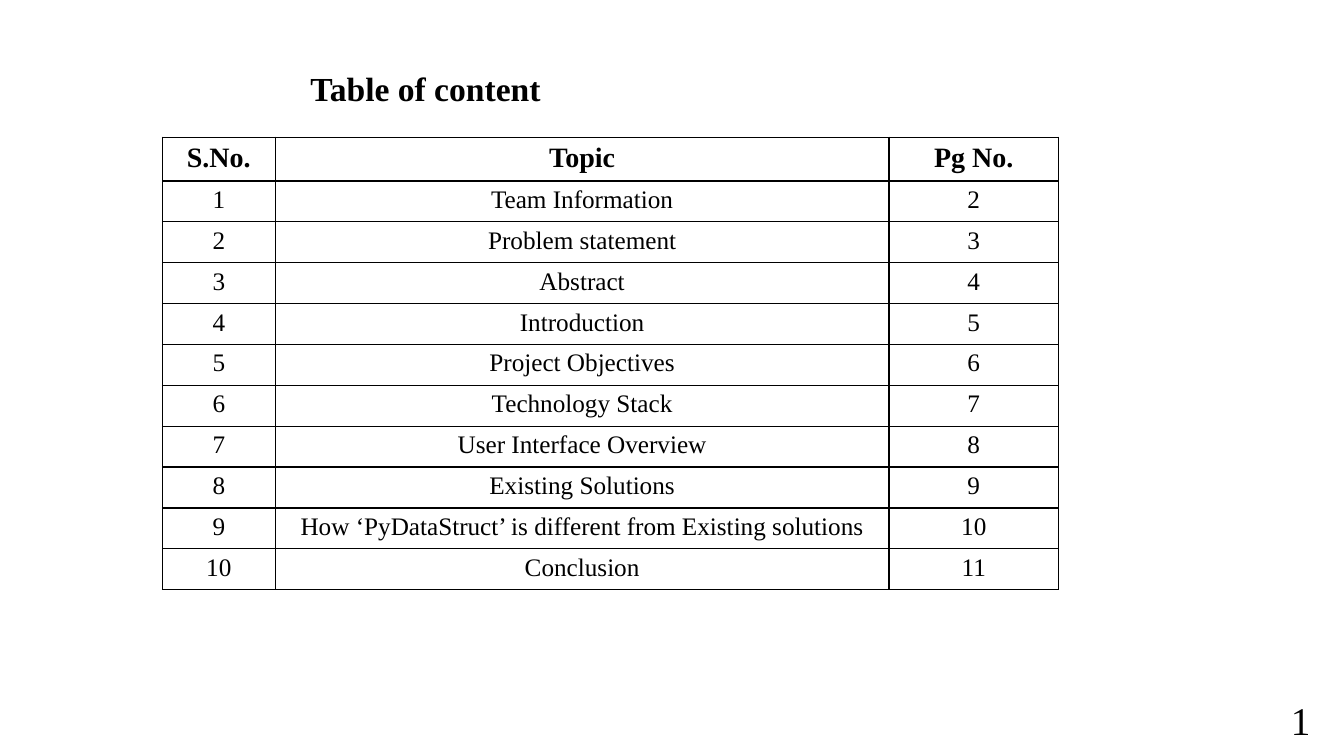
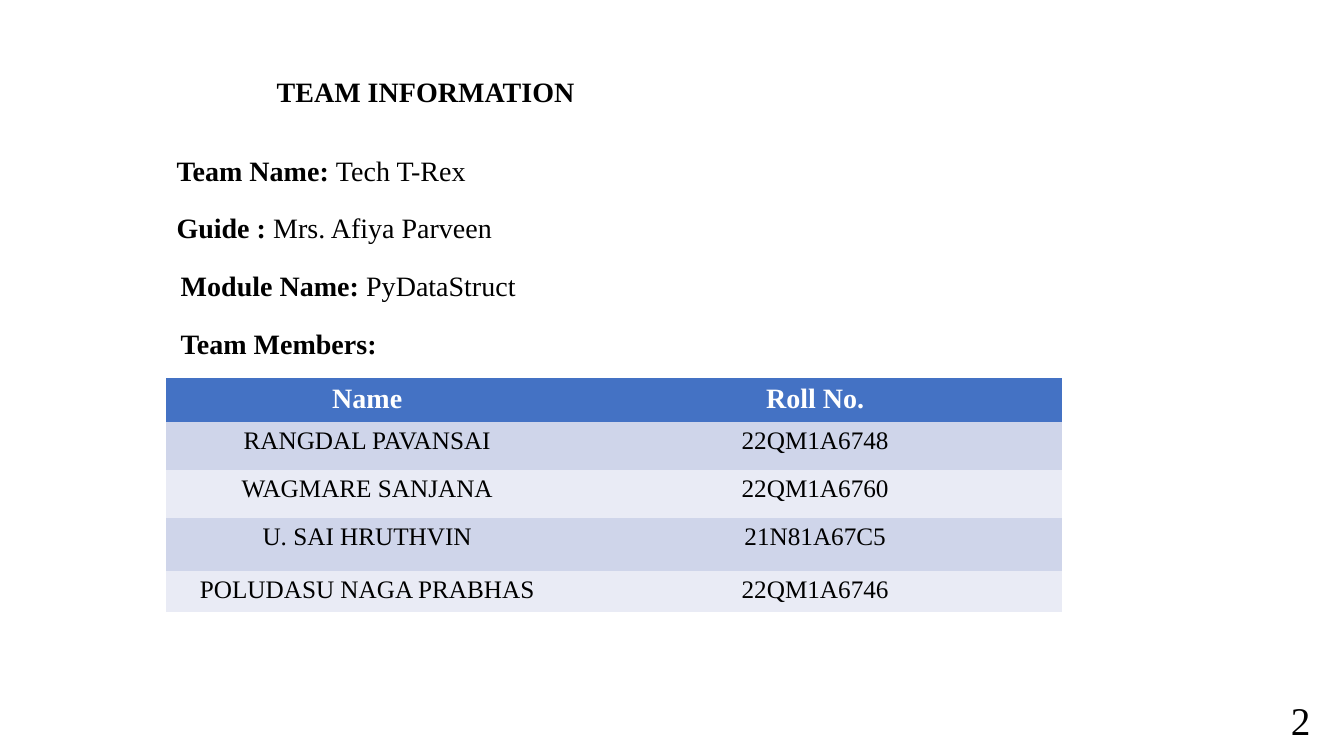
import pptx
import pptx.dml.color
import pptx.enum.text
import pptx.oxml
import pptx.oxml.ns
import pptx.util

Pt = pptx.util.Pt
RGBColor = pptx.dml.color.RGBColor
PP_ALIGN = pptx.enum.text.PP_ALIGN

BLACK = RGBColor(0x00, 0x00, 0x00)
WHITE = RGBColor(0xFF, 0xFF, 0xFF)
BLUE = RGBColor(0x44, 0x72, 0xC4)
BAND_DARK = RGBColor(0xCF, 0xD5, 0xEA)
BAND_LIGHT = RGBColor(0xE9, 0xEB, 0xF5)
FONT = "Times New Roman"

TOPICS = [
    "Team Information",
    "Problem statement",
    "Abstract",
    "Introduction",
    "Project Objectives",
    "Technology Stack",
    "User Interface Overview",
    "Existing Solutions",
    "How ‘PyDataStruct’ is different from Existing solutions",
    "Conclusion",
]
MEMBERS = [
    ("RANGDAL PAVANSAI", "22QM1A6748"),
    ("WAGMARE SANJANA", "22QM1A6760"),
    ("U. SAI HRUTHVIN", "21N81A67C5"),
    ("POLUDASU NAGA PRABHAS", "22QM1A6746"),
]
DETAILS = [
    (119, 106, "Team Name: ", "Tech T-Rex"),
    (119, 147, "Guide : ", "Mrs. Afiya Parveen"),
    (122, 188, "Module Name: ", "PyDataStruct"),
    (122, 230, "Team Members:", ""),
]


def add_run(p, text, size, color=BLACK, bold=False):
    """Add a run in the deck font to a paragraph."""
    r = p.add_run()
    r.text = text
    for name, value in {"name": FONT, "size": Pt(size), "bold": bold}.items():
        setattr(r.font, name, value)
    r.font.color.rgb = color


def add_text(s, box, runs, size, align=PP_ALIGN.LEFT):
    """Place one line of (text, bold) runs in a box."""
    sp = s.shapes.add_textbox(*map(Pt, box))
    tf = sp.text_frame
    tf.word_wrap = True
    tf.auto_size = pptx.enum.text.MSO_AUTO_SIZE.SHAPE_TO_FIT_TEXT
    p = tf.paragraphs[0]
    p.alignment = align
    for text, bold in runs:
        add_run(p, text, size, bold=bold)


def add_title(s, top, text, size):
    """Place a bold centred slide title."""
    add_text(s, (80.5, top, 447, size * 1.2 + 7.2), [(text, True)], size, PP_ALIGN.CENTER)


def add_page_number(s, number):
    """Place the page number in the bottom right corner."""
    add_text(s, (915, 494, 32.5, 41), [(str(number), False)], 28)


def set_borders(cell, color):
    """Draw the four cell edges in a colour, or clear them for None."""
    fill = f'<a:solidFill><a:srgbClr val="{color}"/></a:solidFill>' if color is not None else "<a:noFill/>"
    tc_pr = cell._tc.get_or_add_tcPr()
    for i, side in enumerate("LRTB"):
        xml = f'<a:ln{side} {pptx.oxml.ns.nsdecls("a")} w="12700">{fill}</a:ln{side}>'
        tc_pr.insert(i, pptx.oxml.parse_xml(xml))


def add_grid(s, left, top, widths, heights, rows, header_color, fills, border):
    """Place a centred table whose row fills and borders may be None."""
    frame = s.shapes.add_table(len(rows), len(widths), Pt(left), Pt(top), Pt(sum(widths)), Pt(sum(heights)))
    table = frame.table
    table.first_row = table.horz_banding = False
    for column, width in zip(table.columns, widths):
        column.width = Pt(width)
    for i, (row, height) in enumerate(zip(rows, heights)):
        table.rows[i].height = Pt(height)
        size, color = (20, header_color) if i == 0 else (18, BLACK)
        for cell, text in zip(table.rows[i].cells, row):
            if fills[i] is None:
                cell.fill.background()
            else:
                cell.fill.solid()
                cell.fill.fore_color.rgb = fills[i]
            set_borders(cell, border)
            p = cell.text_frame.paragraphs[0]
            p.alignment = PP_ALIGN.CENTER
            add_run(p, text, size, color, bold=i == 0)


def add_contents_slide(prs):
    """Build the table of content."""
    s = prs.slides.add_slide(prs.slide_layouts[6])
    add_title(s, 45, "Table of content", 24)
    rows = [("S.No.", "Topic", "Pg No.")]
    rows += [(str(i), topic, str(i + 1)) for i, topic in enumerate(TOPICS, 1)]
    heights = [31.2] + [29.2] * len(TOPICS)
    add_grid(s, 116, 98, (80.6, 438.5, 121), heights, rows, BLACK, [None] * len(rows), BLACK)
    add_page_number(s, 1)


def add_team_slide(prs):
    """Build the team details and member table."""
    s = prs.slides.add_slide(prs.slide_layouts[6])
    add_title(s, 50, "TEAM INFORMATION", 20)
    for left, top, label, value in DETAILS:
        runs = [(text, bold) for text, bold in ((label, True), (value, False)) if text]
        add_text(s, (left, top, 317, 31.5), runs, 20)
    rows = [("Name", "Roll No.")] + MEMBERS
    fills = [BLUE] + [BAND_DARK, BAND_LIGHT] * 2
    add_grid(s, 118.6, 270, (287.4, 352.6), (31.2, 34.4, 34.2, 38, 29.2), rows, WHITE, fills, None)
    add_page_number(s, 2)


def main():
    """Build and save the deck."""
    prs = pptx.Presentation()
    prs.slide_width, prs.slide_height = Pt(960), Pt(540)
    add_contents_slide(prs)
    add_team_slide(prs)
    prs.save("out.pptx")


if __name__ == "__main__":
    main()
